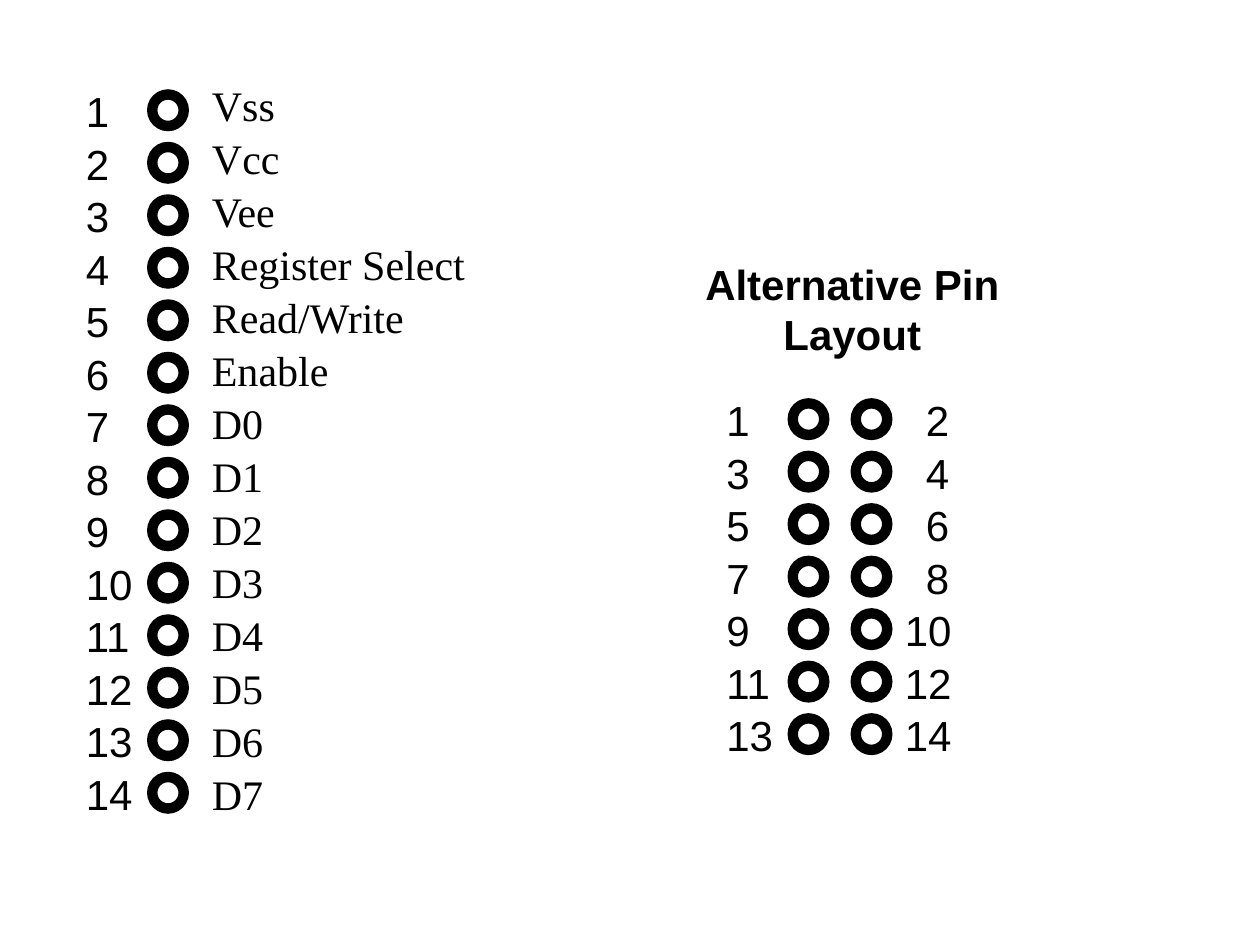
from pptx import Presentation
from pptx.dml.color import RGBColor
from pptx.enum.shapes import MSO_SHAPE as SHAPE
from pptx.enum.text import MSO_AUTO_SIZE as FIT, PP_ALIGN as ALIGN
from pptx.util import Pt

COLORS = {"ink": "000000"}
INK = RGBColor.from_string(COLORS["ink"])
NUMBER = {"name": "Arial", "size": Pt(24)}
LABEL = {"name": "Times New Roman", "size": Pt(24)}
HEADING = {"name": "Arial", "size": Pt(24), "bold": True}
PITCH = 30
LABEL_PITCH = 30.3
NUMBER_RISE = 5.5


def add_text(shapes, lines, box, font, wrap=True, para={}):
    sp = shapes.add_textbox(*map(Pt, box))
    tf = sp.text_frame
    tf.word_wrap = wrap
    tf.auto_size = FIT.SHAPE_TO_FIT_TEXT
    for i, line in enumerate(lines):
        p = tf.add_paragraph() if i else tf.paragraphs[0]
        for key, value in para.items():
            setattr(p, key, value)
        r = p.add_run()
        r.text = line
        r.font.color.rgb = INK
        for key, value in font.items():
            setattr(r.font, key, value)


def add_pin(shapes, number, ring_left, number_left, top):
    sp = shapes.add_shape(SHAPE.DONUT, Pt(ring_left), Pt(top), Pt(24), Pt(24))
    sp.adjustments[0] = 0.25
    sp.shadow.inherit = False
    sp.fill.solid()
    sp.fill.fore_color.rgb = INK
    sp.line.fill.background()
    box = (number_left, top - NUMBER_RISE, 30 if number < 10 else 42, 36)
    add_text(shapes, [str(number)], box, NUMBER, para={"space_before": Pt(15)})


prs = Presentation()
prs.slide_width, prs.slide_height = Pt(720), Pt(540)
s = prs.slides.add_slide(prs.slide_layouts[6])

pins = [("Vss", 52), ("Vcc", 54), ("Vee", 54), ("Register Select", 161),
        ("Read/Write", 126), ("Enable", 83)]
pins += [(f"D{bit}", 45) for bit in range(8)]

single_row = s.shapes.add_group_shape().shapes
for i, (label, width) in enumerate(pins):
    add_pin(single_row, i + 1, 84, 42, 51 + i * PITCH)
    add_text(single_row, [label], (114, 41.8 + i * LABEL_PITCH, width, 36), LABEL, wrap=False)

double_row = s.shapes.add_group_shape().shapes
for i in range(len(pins)):
    number = i + 1
    row, is_even = divmod(i, 2)
    ring_left, number_left = (450, 408)
    if is_even:
        ring_left, number_left = (486, 522 if number < 10 else 510)
    add_pin(double_row, number, ring_left, number_left, 227.5 + row * PITCH)

add_text(s.shapes, ["Alternative Pin", "Layout"], (395, 144, 184, 64.8), HEADING,
         wrap=False, para={"alignment": ALIGN.CENTER})

prs.save("out.pptx")
